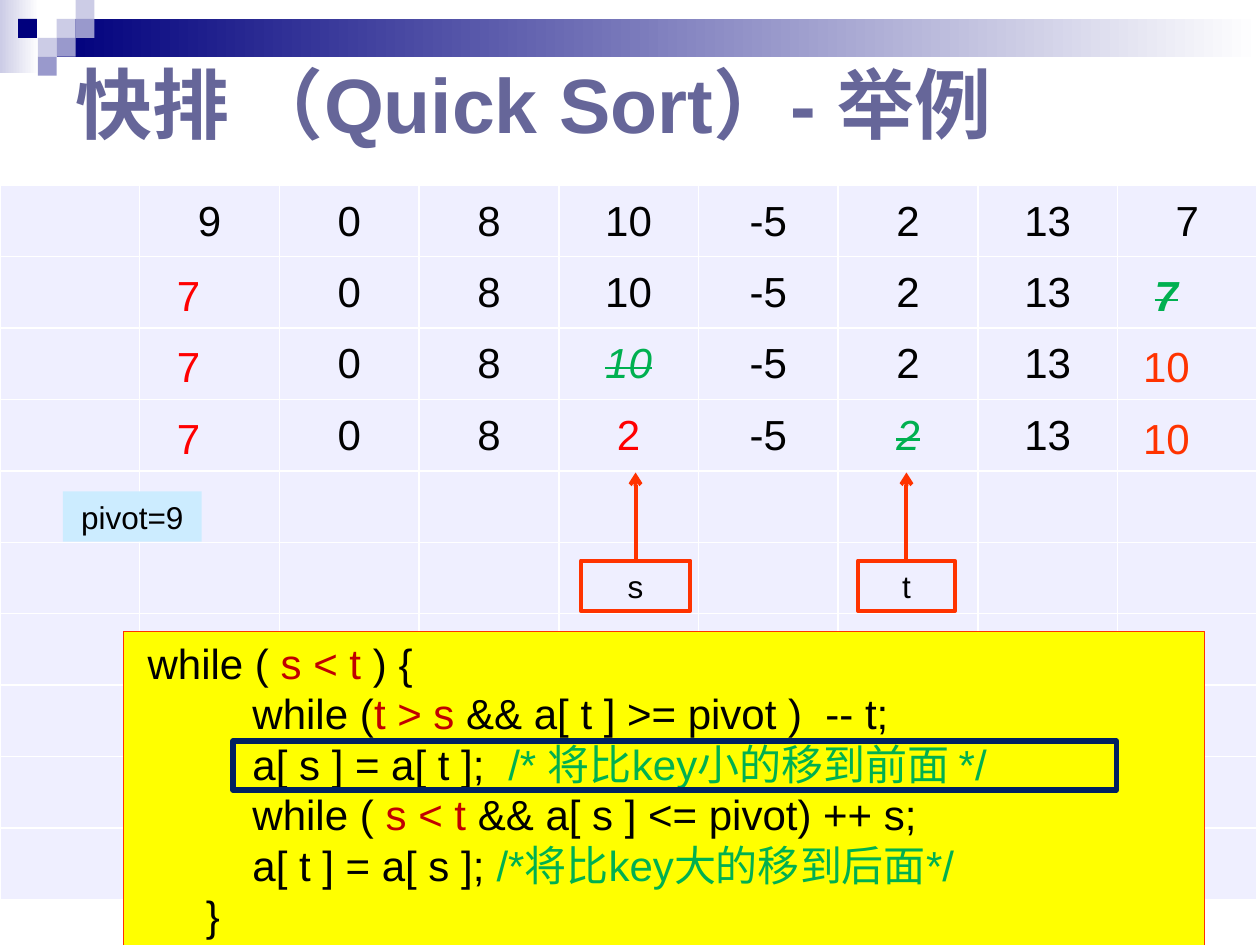
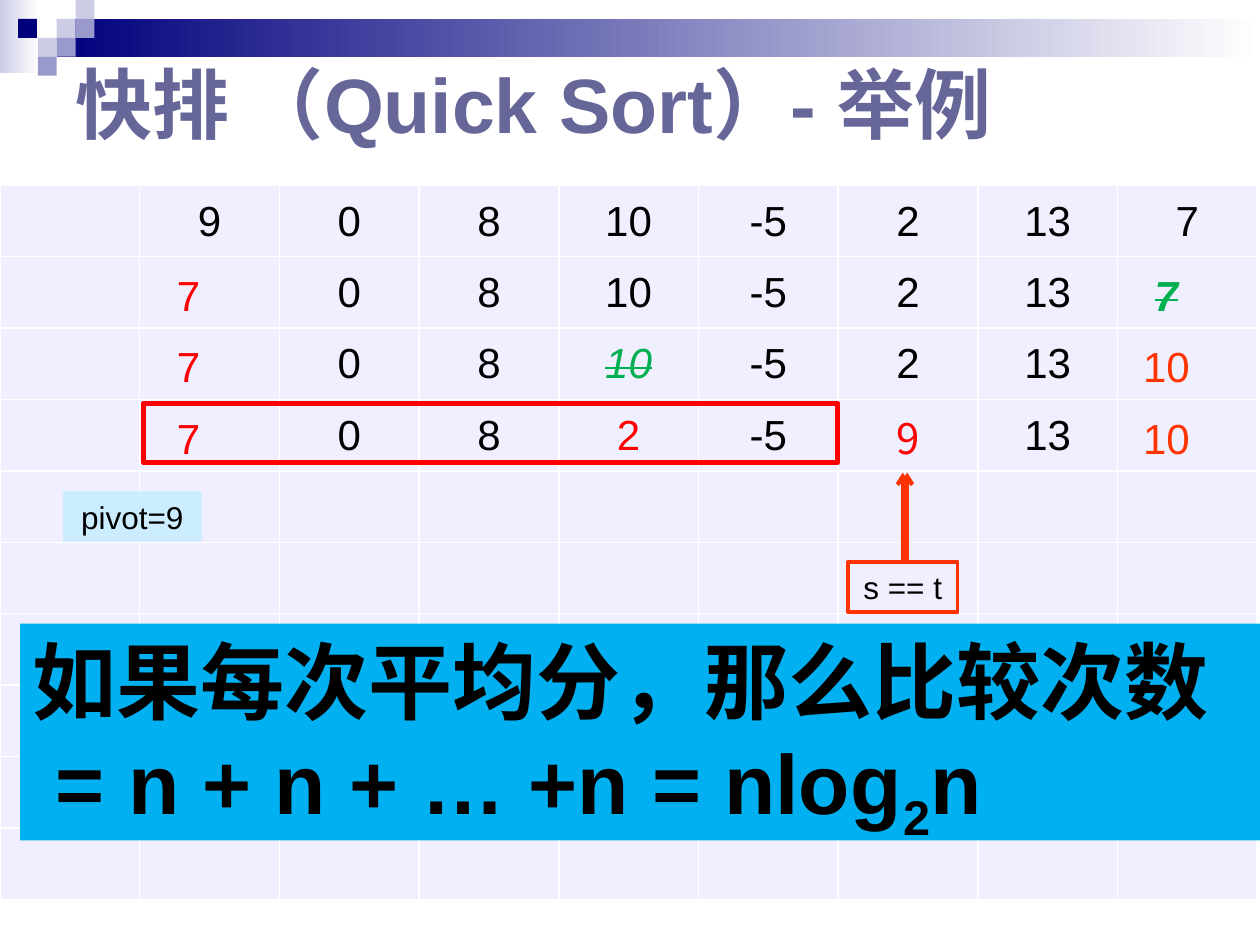
"""Build two slides that walk through a quick sort example."""
from lxml.etree import SubElement
from pptx import Presentation
from pptx.dml.color import RGBColor
from pptx.enum.shapes import MSO_CONNECTOR, MSO_SHAPE
from pptx.enum.text import MSO_ANCHOR, PP_ALIGN
from pptx.oxml.ns import qn
from pptx.util import Pt

NAVY, LILAC, VIOLET, WHITE = "00007D", "CCCCE6", "9999CC", "FFFFFF"
TITLE, CELL, BLACK = "666699", "EFEFFF", "000000"
RED, ORANGE, GREEN, CRIMSON = "FF0000", "FF3300", "00B050", "C00000"


def rgb(value):
    return RGBColor.from_string(value)


def write(p, text, size=24, color=BLACK, bold=False, italic=False,
          strike=False, baseline=0, font="Arial"):
    r = p.add_run()
    r.text = text
    r.font.name, r.font.size = font, Pt(size)
    r.font.bold, r.font.italic = bold, italic
    r.font.color.rgb = rgb(color)
    rPr = r._r.get_or_add_rPr()
    if strike:
        rPr.set("strike", "sngStrike")
    if baseline:
        rPr.set("baseline", str(baseline * 1000))
    SubElement(rPr, qn("a:ea")).set("typeface", "Noto Sans CJK SC")


bands = [(0, 0, 22.3, 41.8, LILAC), (32.4, 10.8, 687.6, 21.6, NAVY)]
squares = [
    (32.4, 10.8, LILAC), (43.2, 0, LILAC), (43.2, 10.8, VIOLET),
    (21.6, 21.6, LILAC), (10.3, 10.8, NAVY), (32.4, 21.6, VIOLET),
    (21.6, 32.4, VIOLET),
]

red, orange = dict(color=RED), dict(color=ORANGE)
moved = dict(color=GREEN, italic=True, strike=True)
seven, ten = [("7　", red)], [("10　", orange)]
old_seven = [("7", dict(moved, bold=True)), ("　", {})]
shared_rows = [
    ["9", "0", "8", "10", "-5", "2", "13", "7"],
    [seven, "0", "8", "10", "-5", "2", "13", old_seven],
    [seven, "0", "8", [("10", moved)], "-5", "2", "13", ten],
]

code, mark, note = {}, dict(color=CRIMSON), dict(color=GREEN)
code_lines = [
    [(" while (", code), (" s < t ", mark), (") {", code)],
    [("          while (", code), ("t > s ", mark),
     ("&& a[ t ] >= pivot )  -- t;", code)],
    [("          a[ s ] = a[ t ];  ", code), ("/* 将比key小的移到前面 */", note)],
    [("          while (", code), (" s < t ", mark),
     ("&& a[ s ] <= pivot) ++ s;", code)],
    [("          a[ t ] = a[ s ]; ", code), ("/*将比key大的移到后面*/", note)],
    [("      }", code)],
]
big = dict(size=48, bold=True)
cost_lines = [
    [("如果每次平均分，那么比较次数", big)],
    [(" = n + n + … +n = nlog", big), ("2", dict(big, baseline=-25)), ("n", big)],
]

label = dict(size=18)
pivot = (36, 280.8, 79.2, 28.8, "CCECFF", None, 0, [[("pivot=9", label)]])
slides = [
    dict(
        t_cell=[("2", moved)],
        pointers=[(331.9, 320.4, 62.6, "s"), (490.3, 320.4, 55.4, "t")],
        extra_arrows=[],
        boxes=[
            pivot,
            (70.6, 360.7, 617.8, 181.4, "FFFF00", ORANGE, 0.75, code_lines),
            (133.2, 423.4, 504.7, 28.1, None, "002060", 3, []),
        ],
    ),
    dict(
        t_cell=[("9", dict(red, font="Noto Sans CJK SC"))],
        pointers=[(484.6, 321.1, 62.6, "s == t")],
        extra_arrows=[518.4],
        boxes=[
            pivot,
            (82.1, 230.4, 396.7, 33.8, None, RED, 3, []),
            (11.5, 356.4, 711.4, 123.8, "00B0F0", None, 0, cost_lines),
        ],
    ),
]

prs = Presentation()
prs.slide_width, prs.slide_height = Pt(720), Pt(540)

for slide in slides:
    s = prs.slides.add_slide(prs.slide_layouts[6])

    for x, y, w, h, color in bands + [(x, y, 10.8, 10.8, c) for x, y, c in squares]:
        sp = s.shapes.add_shape(MSO_SHAPE.RECTANGLE, Pt(x), Pt(y), Pt(w), Pt(h))
        sp.shadow.inherit = False
        sp.line.fill.background()
        if w > 10.8:
            sp.fill.gradient()
            sp.fill.gradient_angle = 0
            for stop, stop_color in zip(sp.fill.gradient_stops, (color, WHITE)):
                stop.color.rgb = rgb(stop_color)
        else:
            sp.fill.solid()
            sp.fill.fore_color.rgb = rgb(color)

    tf = s.shapes.add_textbox(Pt(36), Pt(20.9), Pt(648), Pt(75.6)).text_frame
    tf.word_wrap = True
    tf.vertical_anchor = MSO_ANCHOR.MIDDLE
    write(tf.paragraphs[0], "快排 （Quick Sort）- 举例", size=44, color=TITLE, bold=True)

    rows = shared_rows + [
        [seven, "0", "8", [("2", red)], "-5", slide["t_cell"], "13", ten]]
    table = s.shapes.add_table(10, 9, Pt(0), Pt(105.8), Pt(718.6), Pt(408.2)).table
    table.first_row = table.horz_banding = False
    for row in table.rows:
        row.height = Pt(40.82)
    for cell in table.iter_cells():
        cell.fill.solid()
        cell.fill.fore_color.rgb = rgb(CELL)
        cell.vertical_anchor = MSO_ANCHOR.MIDDLE
        cell.margin_left = cell.margin_right = cell.margin_top = Pt(0.72)
        cell.margin_bottom = Pt(0)
    for i, values in enumerate(rows):
        for j, value in enumerate(values, 1):
            p = table.cell(i, j).text_frame.paragraphs[0]
            p.alignment = PP_ALIGN.CENTER
            for text, fmt in [(value, {})] if isinstance(value, str) else value:
                write(p, text, **fmt)

    pointer_boxes = [(x, y, w, 28.8, None, ORANGE, 2.25, [[(name, label)]])
                     for x, y, w, name in slide["pointers"]]
    arrows = [(x + w / 2, y, n) for n, (x, y, w, name) in enumerate(slide["pointers"])]
    arrows += [(x, 321.1, None) for x in slide["extra_arrows"]]
    shapes = []
    for x, y, w, h, fill, line, width, lines in pointer_boxes + slide["boxes"]:
        sp = s.shapes.add_shape(MSO_SHAPE.RECTANGLE, Pt(x), Pt(y), Pt(w), Pt(h))
        shapes.append(sp)
        sp.shadow.inherit = False
        if fill:
            sp.fill.solid()
            sp.fill.fore_color.rgb = rgb(fill)
        else:
            sp.fill.background()
        if line:
            sp.line.color.rgb = rgb(line)
            sp.line.width = Pt(width)
        else:
            sp.line.fill.background()
        tf = sp.text_frame
        tf.word_wrap = True
        tf.vertical_anchor = MSO_ANCHOR.TOP
        for n, runs in enumerate(lines):
            p = tf.add_paragraph() if n else tf.paragraphs[0]
            p.alignment = PP_ALIGN.CENTER if len(lines) == 1 else PP_ALIGN.LEFT
            for text, fmt in runs:
                write(p, text, **fmt)

    for x, y, n in arrows:
        cx = s.shapes.add_connector(MSO_CONNECTOR.STRAIGHT, Pt(x), Pt(y), Pt(x), Pt(270))
        if n is not None:
            cx.begin_connect(shapes[n], 0)
        cx.line.color.rgb = rgb(ORANGE)
        cx.line.width = Pt(2.25)
        SubElement(cx.line._get_or_add_ln(), qn("a:tailEnd")).set("type", "arrow")
        SubElement(cx._element.spPr, qn("a:effectLst"))

prs.save("out.pptx")
